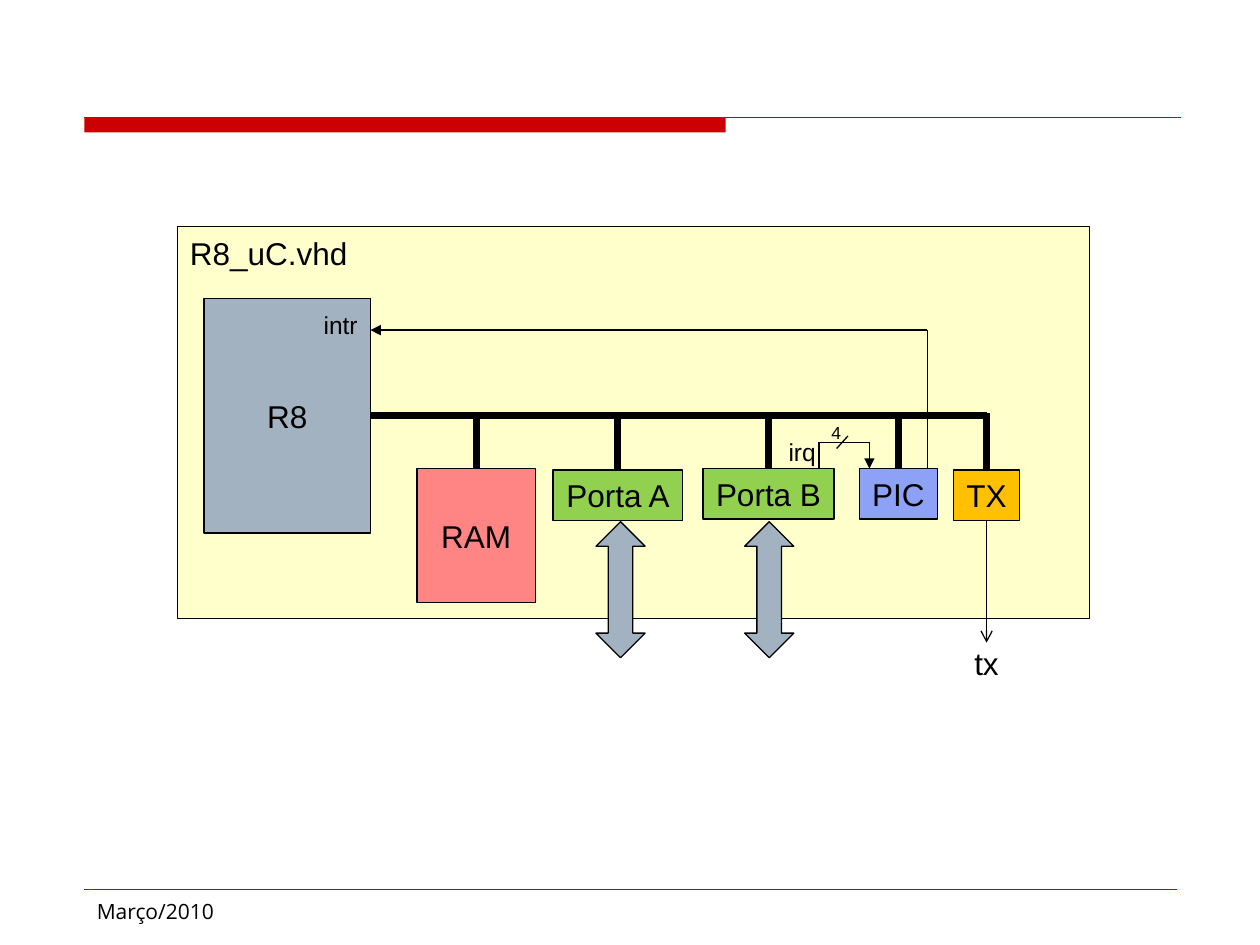
"""Draw the R8_uC.vhd block diagram on a grid of 100 columns by 75 rows."""
import dataclasses
import typing

import pptx
import pptx.dml.color
import pptx.enum.shapes
import pptx.enum.text
import pptx.oxml
import pptx.oxml.ns
import pptx.util

RGB = pptx.dml.color.RGBColor
KIND = pptx.enum.shapes.MSO_SHAPE
ALIGN = pptx.enum.text.PP_ALIGN
ANCHOR = pptx.enum.text.MSO_ANCHOR

BLACK = RGB(0x00, 0x00, 0x00)
RED = RGB(0xCC, 0x00, 0x00)
CREAM = RGB(0xFF, 0xFF, 0xCC)
STEEL = RGB(0xA3, 0xB2, 0xC1)
GREEN = RGB(0x92, 0xD0, 0x50)
PINK = RGB(0xFF, 0x85, 0x85)
BLUE = RGB(0x8D, 0xA1, 0xF7)
GOLD = RGB(0xFF, 0xC0, 0x00)

COLS, ROWS = 100, 75
THIN, THICK = 0.75, 4
BUS = 33
TAP = 32.8

deck = pptx.Presentation()
deck.slide_width = pptx.util.Inches(10)
deck.slide_height = pptx.util.Inches(7.5)
slide = deck.slides.add_slide(deck.slide_layouts[6])


@dataclasses.dataclass
class Block:
    """A filled shape with an optional centred label."""
    col: float
    row: float
    wide: float
    high: float
    fill: RGB
    text: str = ""
    kind: KIND = KIND.RECTANGLE
    edge: bool = True


@dataclasses.dataclass
class Label:
    """A text box without fill."""
    col: float
    row: float
    wide: float
    high: float
    text: str
    size: int = 18
    font: str = "Arial"
    align: ALIGN = ALIGN.LEFT
    anchor: ANCHOR = ANCHOR.TOP


@dataclasses.dataclass
class Wire:
    """A straight line between two grid points."""
    start: tuple[float, float]
    end: tuple[float, float]
    width: float = THIN
    color: RGB = BLACK
    head: str = ""


def across(col: float) -> int:
    """Turn columns into a length."""
    return round(deck.slide_width * col / COLS)


def down(row: float) -> int:
    """Turn rows into a length."""
    return round(deck.slide_height * row / ROWS)


def style(item: typing.Any, form: dict[str, typing.Any]) -> None:
    """Set each named value on the item."""
    for name, value in form.items():
        setattr(item, name, value)


def write(shape: typing.Any, text: str, size: int, font: str,
          align: ALIGN, anchor: ANCHOR) -> None:
    """Put one line of text into the shape."""
    frame = shape.text_frame
    style(frame, {"word_wrap": False, "vertical_anchor": anchor})
    line = frame.paragraphs[0]
    line.alignment = align
    run = line.add_run()
    run.text = text
    style(run.font, {"size": pptx.util.Pt(size), "name": font})
    run.font.color.rgb = BLACK


def place(block: Block) -> typing.Any:
    """Draw a block and return its shape."""
    shape = slide.shapes.add_shape(
        block.kind, across(block.col), down(block.row),
        across(block.wide), down(block.high))
    shape.shadow.inherit = False
    shape.fill.solid()
    shape.fill.fore_color.rgb = block.fill
    if block.edge:
        shape.line.color.rgb = BLACK
        shape.line.width = pptx.util.Pt(THIN)
    else:
        shape.line.fill.background()
    if block.text:
        write(shape, block.text, 18, "Arial", ALIGN.CENTER, ANCHOR.MIDDLE)
    return shape


def note(label: Label) -> None:
    """Draw a label."""
    box = slide.shapes.add_textbox(
        across(label.col), down(label.row),
        across(label.wide), down(label.high))
    write(box, label.text, label.size, label.font, label.align, label.anchor)


def link(wire: Wire) -> typing.Any:
    """Draw a wire and return its connector."""
    line = slide.shapes.add_connector(
        pptx.enum.shapes.MSO_CONNECTOR.STRAIGHT,
        across(wire.start[0]), down(wire.start[1]),
        across(wire.end[0]), down(wire.end[1]))
    line.line.color.rgb = wire.color
    line.line.width = pptx.util.Pt(wire.width)
    qn, make = pptx.oxml.ns.qn, pptx.oxml.xmlchemy.OxmlElement
    if wire.head:
        tip = make("a:tailEnd")
        tip.set("type", wire.head)
        line.line._get_or_add_ln().append(tip)
    line._element.find(qn("p:spPr")).append(make("a:effectLst"))
    return line


UNITS = [
    Block(33.1, 37.2, 9.4, 10.6, PINK, "RAM"),
    Block(43.9, 37.3, 10.3, 4, GREEN, "Porta A"),
    Block(55.8, 37.2, 10.4, 4, GREEN, "Porta B"),
    Block(68.2, 37.2, 6.2, 4, BLUE, "PIC"),
    Block(75.7, 37.3, 5.2, 4, GOLD, "TX"),
]
PORTS = [47.3, 59.1]
LABELS = [
    Label(14.1, 18.1, 14.6, 4, "R8_uC.vhd"),
    Label(24.7, 24.1, 4.7, 3.4, "intr", 14),
    Label(61.6, 34.2, 4.2, 3.4, "irq", 14),
    Label(65, 33, 2.8, 2.7, "4", 10),
    Label(76.3, 50.6, 4, 4, "tx", align=ALIGN.CENTER),
    Label(6.7, 71.1, 21.7, 2.4, "Março/2010", 12, "Open Sans",
          anchor=ANCHOR.MIDDLE),
]
WIRES = [
    Wire((6.7, 9.3), (93.7, 9.3), color=RED),
    Wire((6.7, 70.6), (93.4, 70.6), 0.25, RED),
    Wire((73.6, 37.2), (73.6, 26.2)),
    Wire((73.6, 26.2), (29.4, 26.2), head="triangle"),
    Wire((65, 37.2), (65, 35.1)),
    Wire((65, 35.1), (69, 35.1)),
    Wire((69, 35.1), (69, 37.2), head="triangle"),
    Wire((66.4, 35.6), (67.3, 34.6)),
]


def main() -> None:
    """Build the slide and save it."""
    place(Block(6.7, 9.3, 50.9, 1.2, RED, edge=False))
    place(Block(14.1, 18, 72.4, 31.1, CREAM))
    core = place(Block(16.2, 23.7, 13.2, 18.6, STEEL, "R8"))
    for unit in UNITS:
        shape = place(unit)
        mid = unit.col + unit.wide / 2
        tap = link(Wire((mid, TAP), (mid, unit.row), THICK))
        tap.end_connect(shape, 0)
    bus = link(Wire((29.4, BUS), (mid, BUS), THICK))
    bus.begin_connect(core, 3)
    out = link(Wire((mid, 41.4), (mid, 51), head="arrow"))
    out.begin_connect(shape, 2)
    for col in PORTS:
        place(Block(col, 41.4, 3.9, 10.8, STEEL, kind=KIND.UP_DOWN_ARROW))
    for wire in WIRES:
        link(wire)
    for label in LABELS:
        note(label)
    deck.save("out.pptx")


if __name__ == "__main__":
    main()
